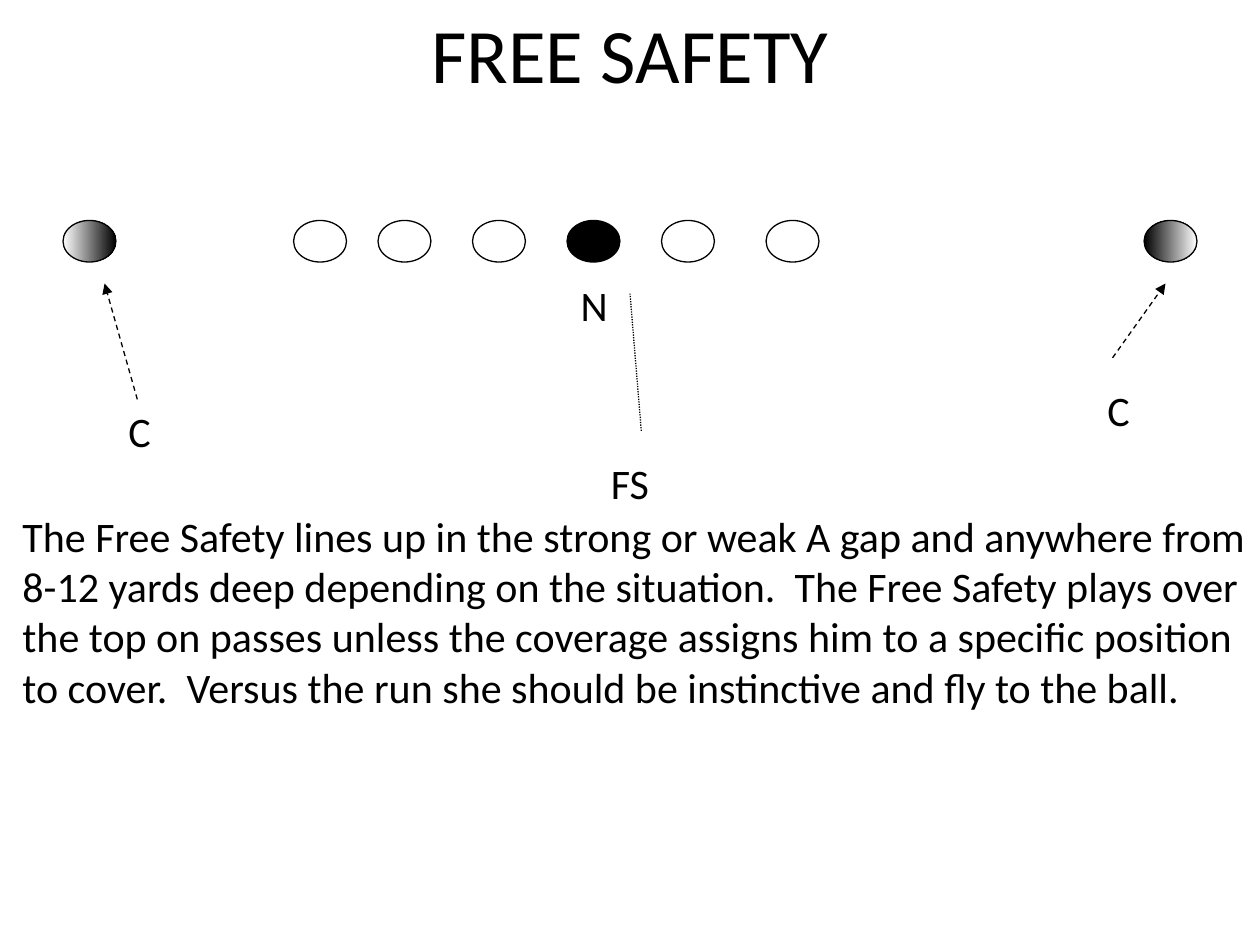
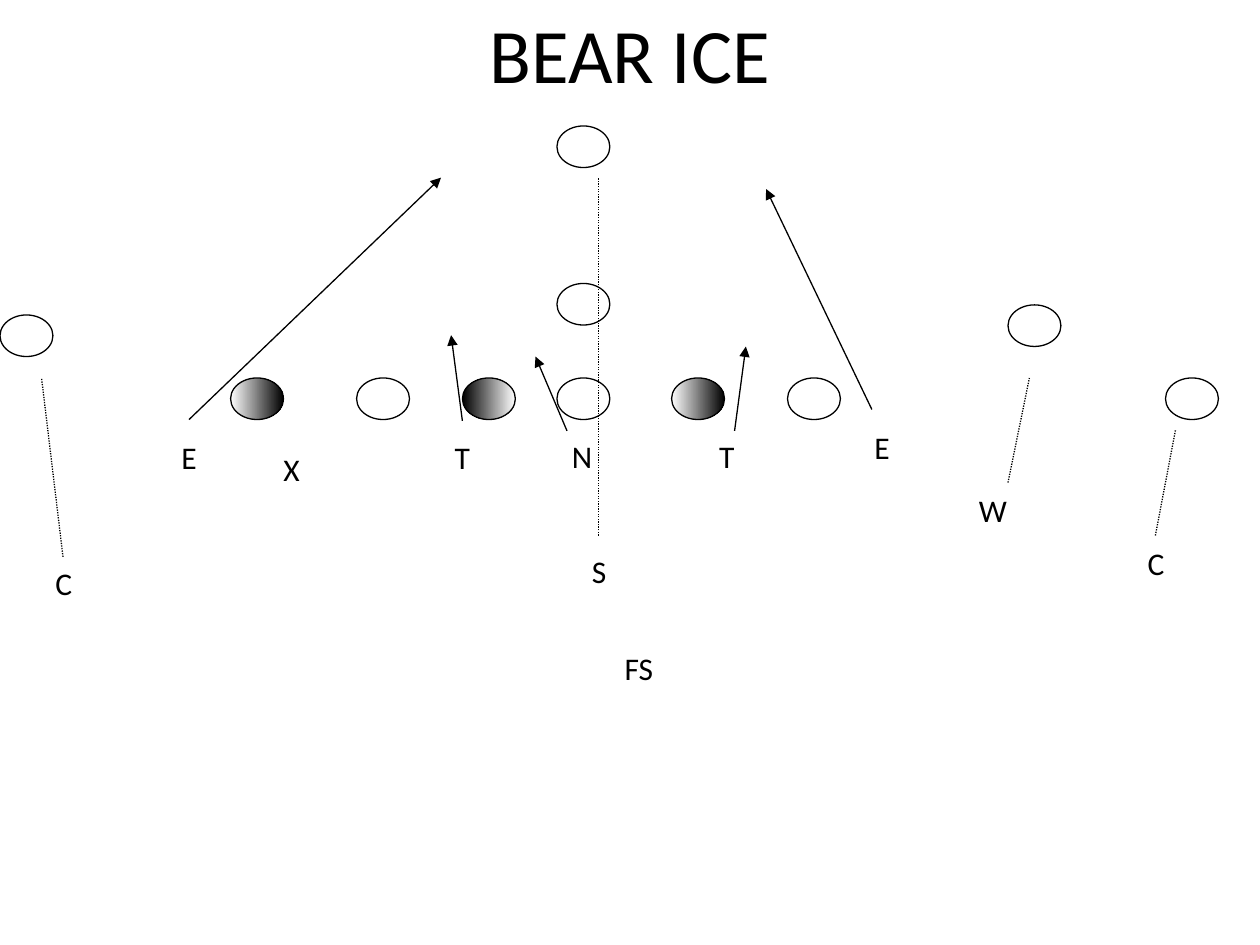
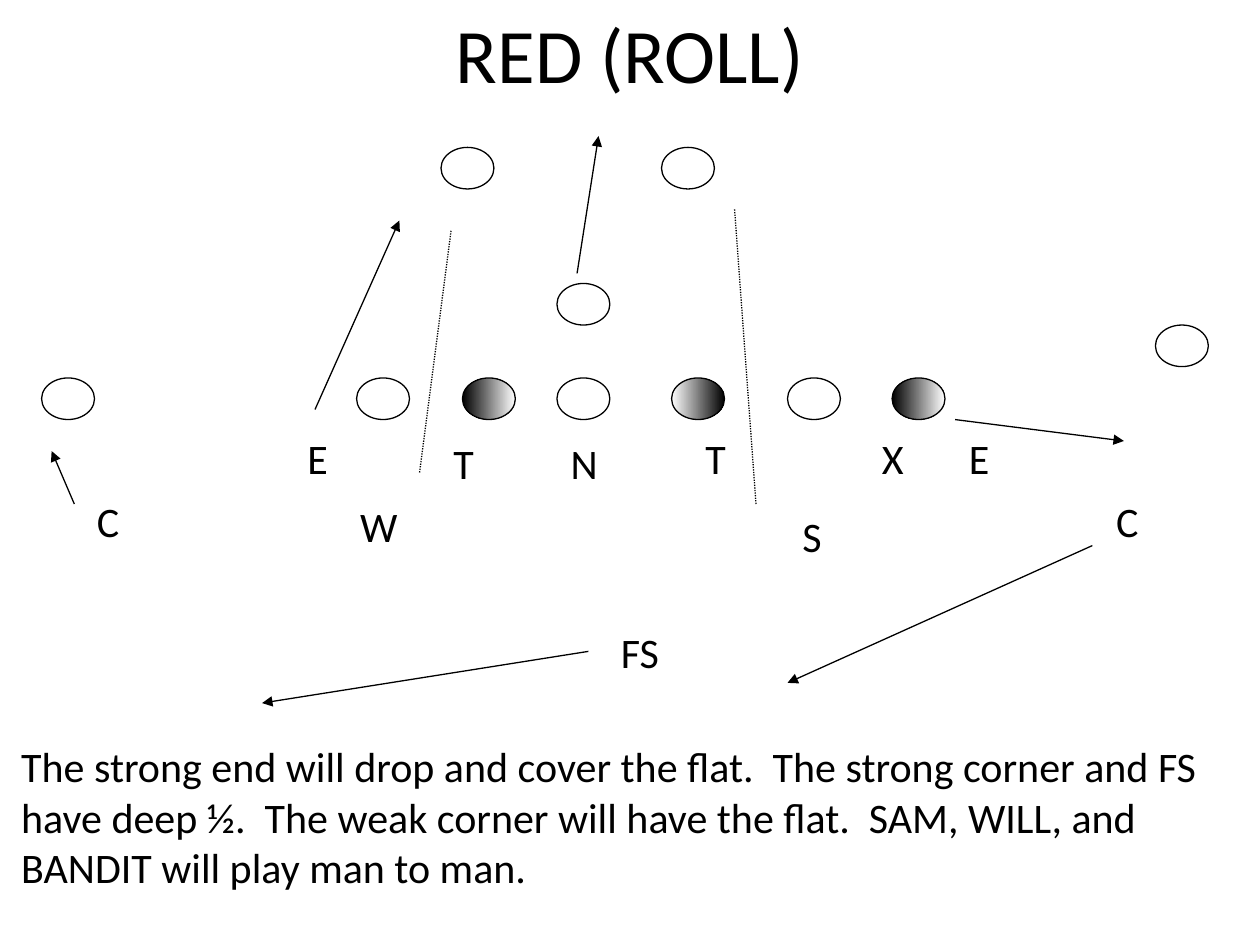
from dataclasses import dataclass

import pptx
import pptx.dml.color
import pptx.enum.dml
import pptx.enum.shapes
import pptx.enum.text
import pptx.oxml
import pptx.oxml.ns
import pptx.util
from pptx.util import Inches

BLACK = "000000"
WHITE = "FFFFFF"
OPEN = (WHITE,)
SOLID = (BLACK,)
RIGHT_SHADED = (WHITE, BLACK)
LEFT_SHADED = (BLACK, WHITE)
FONT = "Calibri"
TITLE_SIZE = 44
NOTES_SIZE = 24
PLAYER_WIDTH, PLAYER_HEIGHT = 0.42, 0.33
LETTER_WIDTHS = {"C": 0.53, "E": 0.49, "F": 0.46, "N": 0.65,
                 "S": 0.46, "T": 0.49, "W": 0.89, "X": 0.52}
LINE = pptx.enum.dml.MSO_LINE


@dataclass
class Player:
    left: float
    top: float
    shades: tuple[str, ...] = OPEN


@dataclass
class Defender:
    role: str
    left: float
    top: float


@dataclass
class Route:
    start: tuple[float, float]
    end: tuple[float, float]
    arrow: bool = True
    dash: LINE | None = None


@dataclass
class Notes:
    left: float
    top: float
    width: float
    height: float
    paragraphs: list[str]


@dataclass
class Play:
    title: str
    title_height: float
    label_size: int
    players: list[Player]
    defenders: list[Defender]
    routes: list[Route]
    notes: Notes | None = None


def rgb(value: str) -> pptx.dml.color.RGBColor:
    return pptx.dml.color.RGBColor.from_string(value)


def coverage(start: tuple[float, float], end: tuple[float, float]) -> Route:
    return Route(start, end, arrow=False, dash=LINE.ROUND_DOT)


def row(top: float, lefts: list[float]) -> list[Player]:
    return [Player(left, top) for left in lefts]


def style_paragraph(paragraph, size: int) -> None:
    paragraph.font.name = FONT
    paragraph.font.size = pptx.util.Pt(size)
    paragraph.font.color.rgb = rgb(BLACK)


def draw_title(slide, play: Play) -> None:
    title = slide.shapes.title
    title.left, title.top = Inches(0.75), Inches(0)
    title.width, title.height = Inches(8.5), Inches(play.title_height)
    frame = title.text_frame
    frame.text = play.title
    frame.auto_size = pptx.enum.text.MSO_AUTO_SIZE.NONE
    frame.vertical_anchor = pptx.enum.text.MSO_ANCHOR.TOP
    frame.paragraphs[0].alignment = pptx.enum.text.PP_ALIGN.CENTER
    style_paragraph(frame.paragraphs[0], TITLE_SIZE)


def draw_player(slide, player: Player) -> None:
    oval = slide.shapes.add_shape(
        pptx.enum.shapes.MSO_SHAPE.OVAL, Inches(player.left), Inches(player.top),
        Inches(PLAYER_WIDTH), Inches(PLAYER_HEIGHT))
    oval.shadow.inherit = False
    oval.line.color.rgb = rgb(BLACK)
    oval.line.width = pptx.util.Pt(0.75)
    if len(player.shades) == 1:
        oval.fill.solid()
        oval.fill.fore_color.rgb = rgb(player.shades[0])
        return
    oval.fill.gradient()
    oval.fill.gradient_angle = 0
    for stop, shade, position in zip(oval.fill.gradient_stops, player.shades, (0, 1)):
        stop.color.rgb = rgb(shade)
        stop.position = position


def draw_text(slide, left: float, top: float, width: float, height: float,
              paragraphs: list[str], size: int, wrap: bool) -> None:
    box = slide.shapes.add_textbox(Inches(left), Inches(top), Inches(width), Inches(height))
    frame = box.text_frame
    frame.text = "\n".join(paragraphs)
    frame.word_wrap = wrap
    frame.auto_size = pptx.enum.text.MSO_AUTO_SIZE.SHAPE_TO_FIT_TEXT
    for paragraph in frame.paragraphs:
        style_paragraph(paragraph, size)


def draw_defender(slide, defender: Defender, size: int) -> None:
    width = 0.2 + sum(LETTER_WIDTHS[letter] for letter in defender.role) * size / 72
    height = 0.1 + 1.2 * size / 72
    draw_text(slide, defender.left, defender.top, width, height, [defender.role], size, False)


def draw_route(slide, route: Route) -> None:
    path_line = slide.shapes.add_connector(
        pptx.enum.shapes.MSO_CONNECTOR.STRAIGHT,
        *(Inches(value) for value in route.start + route.end))
    path_line.line.color.rgb = rgb(BLACK)
    path_line.line.width = pptx.util.Pt(0.75)
    if route.dash is not None:
        path_line.line.dash_style = route.dash
    if route.arrow:
        head = pptx.oxml.parse_xml(
            f'<a:tailEnd {pptx.oxml.ns.nsdecls("a")} type="triangle"/>')
        path_line.line._get_or_add_ln().append(head)
    path_line._element.spPr.append(
        pptx.oxml.parse_xml(f'<a:effectLst {pptx.oxml.ns.nsdecls("a")}/>'))


def draw_play(deck, play: Play) -> None:
    slide = deck.slides.add_slide(deck.slide_layouts.get_by_name("Title Only"))
    draw_title(slide, play)
    for player in play.players:
        draw_player(slide, player)
    for defender in play.defenders:
        draw_defender(slide, defender, play.label_size)
    for route in play.routes:
        draw_route(slide, route)
    if play.notes:
        notes = play.notes
        draw_text(slide, notes.left, notes.top, notes.width, notes.height,
                  notes.paragraphs, NOTES_SIZE, True)


INTERIOR_LINE = [
    *row(3, [2.83, 4.42, 6.25]),
    Player(3.67, 3, LEFT_SHADED),
    Player(5.33, 3, RIGHT_SHADED),
    Player(4.42, 2.25),
]

PLAYS = [
    Play(
        "FREE SAFETY", 1.17, 24,
        players=[
            *row(1.75, [2.33, 3, 3.75, 5.25, 6.08]),
            Player(4.5, 1.75, SOLID),
            Player(0.5, 1.75, RIGHT_SHADED),
            Player(9.08, 1.75, LEFT_SHADED),
        ],
        defenders=[
            Defender("C", 0.92, 3.17), Defender("C", 8.69, 3),
            Defender("FS", 4.75, 3.58), Defender("N", 4.51, 2.17),
        ],
        routes=[
            Route((1.09, 3.17), (0.83, 2.25), dash=LINE.DASH),
            Route((8.83, 2.84), (9.25, 2.25), dash=LINE.DASH),
            coverage((5.09, 3.42), (5, 2.33)),
        ],
        notes=Notes(0.08, 4, 10, 1.7, [
            "The Free Safety lines up in the strong or weak A gap and anywhere from "
            "8-12 yards deep depending on the situation.  The Free Safety plays over "
            "the top on passes unless the coverage assigns him to a specific position "
            "to cover.  Versus the run she should be instinctive and fly to the ball.",
        ]),
    ),
    Play(
        "BEAR ICE", 1.25, 18,
        players=[
            *INTERIOR_LINE,
            Player(1.83, 3, RIGHT_SHADED), Player(9.25, 3),
            Player(4.42, 1), Player(0, 2.5), Player(8, 2.42),
        ],
        defenders=[
            Defender("C", 9.01, 4.27), Defender("W", 7.67, 3.85),
            Defender("E", 6.84, 3.35), Defender("N", 4.44, 3.42),
            Defender("T", 3.51, 3.43), Defender("T", 5.61, 3.42),
            Defender("X", 2.15, 3.52), Defender("E", 1.34, 3.43),
            Defender("C", 0.34, 4.43), Defender("S", 4.6, 4.33),
            Defender("FS", 4.86, 5.1),
        ],
        routes=[
            coverage((9.17, 4.25), (9.33, 3.41)),
            coverage((0.5, 4.42), (0.33, 3)),
            coverage((8, 3.83), (8.17, 3)),
            coverage((4.75, 4.25), (4.75, 1.41)),
            Route((4.5, 3.42), (4.25, 2.83)),
            Route((3.67, 3.34), (3.58, 2.66)),
            Route((5.83, 3.42), (5.92, 2.75)),
            Route((1.5, 3.33), (3.5, 1.41)),
            Route((6.92, 3.25), (6.08, 1.5)),
        ],
    ),
    Play(
        "RED (ROLL)", 0.83, 24,
        players=[
            *INTERIOR_LINE,
            *row(1.17, [3.5, 5.25]),
            Player(0.33, 3), Player(9.17, 2.58), Player(7.08, 3, LEFT_SHADED),
        ],
        defenders=[
            Defender("C", 0.67, 3.88), Defender("C", 8.76, 3.88),
            Defender("FS", 4.83, 4.92), Defender("E", 7.59, 3.38),
            Defender("X", 6.9, 3.38), Defender("T", 5.5, 3.38),
            Defender("N", 4.43, 3.42), Defender("T", 3.5, 3.42),
            Defender("E", 2.34, 3.38), Defender("S", 6.27, 4),
            Defender("W", 2.76, 3.92),
        ],
        routes=[
            Route((0.59, 4), (0.41, 3.58)),
            Route((8.67, 4.33), (6.25, 5.42)),
            Route((4.67, 5.17), (2.08, 5.58)),
            Route((7.58, 3.33), (8.92, 3.5)),
            Route((4.58, 2.17), (4.75, 1.08)),
            Route((2.5, 3.25), (3.17, 1.75)),
            coverage((3.33, 3.75), (3.58, 1.83)),
            coverage((6, 4), (5.83, 1.66)),
        ],
        notes=Notes(0.07, 5.83, 9.64, 1.3, [
            "The strong end will drop and cover the flat.  The strong corner and FS",
            "have deep ½.  The weak corner will have the flat.  SAM, WILL, and",
            "BANDIT will play man to man.",
        ]),
    ),
]


def main() -> None:
    deck = pptx.Presentation()
    deck.slide_width, deck.slide_height = Inches(10), Inches(7.5)
    for play in PLAYS:
        draw_play(deck, play)
    deck.save("out.pptx")


if __name__ == "__main__":
    main()
